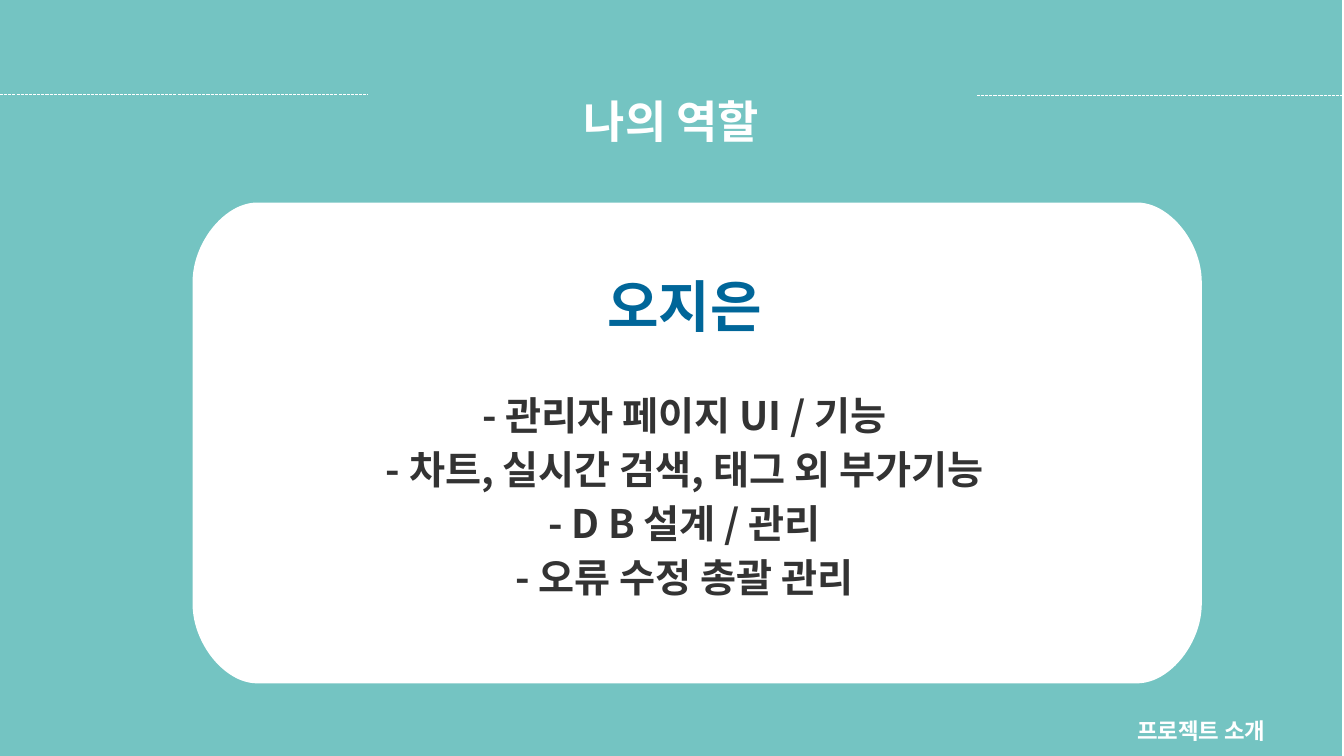
"""Builds the "나의 역할" slide: a team member's roles on a white card."""
from lxml.etree import SubElement
from pptx import Presentation
from pptx.dml.color import RGBColor
from pptx.enum.shapes import MSO_CONNECTOR, MSO_SHAPE
from pptx.enum.text import PP_ALIGN
from pptx.oxml.ns import qn
from pptx.util import Inches, Pt

FONT = "Noto Sans CJK KR"
TEAL, WHITE, BLUE, DARK = "74C4C2", "FFFFFF", "006699", "333333"

TITLE = "나의 역할"
FOOTER = "프로젝트 소개"
MEMBER = "오지은"
ROLES = [
    "- 관리자 페이지 UI / 기능",
    "- 차트, 실시간 검색, 태그 외 부가기능",
    "- D B 설계 / 관리",
    "- 오류 수정 총괄 관리",
]
RULES = [(0, 3.65, 0.94), (9.69, 13.33, 0.95)]
CARD = (1.91, 2.01, 10.01, 4.77)
CORNER = (0.64, 0.79)
CORNER_STEPS = 24


def color(value):
    return RGBColor.from_string(value)


def paint(shape, fill):
    shape.shadow.inherit = False
    shape.fill.solid()
    shape.fill.fore_color.rgb = color(fill)
    shape.line.fill.background()


def bezier(start, control_1, control_2, end):
    for step in range(CORNER_STEPS + 1):
        t = step / CORNER_STEPS
        weights = ((1 - t) ** 3, 3 * t * (1 - t) ** 2, 3 * t * t * (1 - t), t ** 3)
        yield tuple(
            sum(w * value for w, value in zip(weights, values))
            for values in zip(start, control_1, control_2, end)
        )


def card_outline():
    left, top, width, height = CARD
    dx, dy = CORNER
    corner = list(bezier((dx, 0), (dx / 2, 0), (0, dy / 2), (0, dy)))
    top_left = [(left + x, top + y) for x, y in corner]
    bottom_left = [(left + x, top + height - y) for x, y in reversed(corner)]
    left_side = top_left + bottom_left
    right_side = [(2 * left + width - x, y) for x, y in reversed(left_side)]
    return [(Inches(x), Inches(y)) for x, y in left_side + right_side]


def write(paragraph, text, *, size, fill, align, spacing, before=0):
    paragraph.alignment = align
    paragraph.line_spacing = spacing
    if before:
        paragraph.space_before = Pt(before)
    run = paragraph.add_run()
    run.text = text
    run.font.size = Pt(size)
    run.font.bold = True
    run.font.name = FONT
    run.font.color.rgb = color(fill)
    SubElement(run.font._element, qn("a:ea"), typeface=FONT)


def text_frame(left, top, width, height):
    box = slide.shapes.add_textbox(*map(Inches, (left, top, width, height)))
    box.text_frame.word_wrap = True
    return box.text_frame


deck = Presentation()
deck.slide_width, deck.slide_height = Inches(13.33), Inches(7.5)
slide = deck.slides.add_slide(deck.slide_layouts[6])

backdrop = slide.shapes.add_shape(
    MSO_SHAPE.RECTANGLE, Inches(-0.02), 0, deck.slide_width, deck.slide_height
)
paint(backdrop, TEAL)

title = text_frame(4.55, 0.61, 4.22, 0.63)
write(title.paragraphs[0], TITLE, size=32, fill=WHITE, align=PP_ALIGN.CENTER, spacing=1.5)

for start, end, y in RULES:
    rule = slide.shapes.add_connector(
        MSO_CONNECTOR.STRAIGHT, Inches(start), Inches(y), Inches(end), Inches(y)
    )
    rule.line.color.rgb = color(WHITE)
    rule.line.width = Pt(0.75)
    properties = rule.line._get_or_add_ln()
    SubElement(properties, qn("a:prstDash"), val="sysDash")
    SubElement(properties.getparent(), qn("a:effectLst"))

footer = text_frame(8.43, 6.93, 4.22, 0.37)
write(footer.paragraphs[0], FOOTER, size=16, fill=WHITE, align=PP_ALIGN.RIGHT, spacing=1.5)

first, *rest = card_outline()
outline = slide.shapes.build_freeform(*first)
outline.add_line_segments(rest, close=True)
paint(outline.convert_to_shape(), WHITE)

duties = text_frame(2.13, 2.54, 9.32, 4.05)
write(duties.paragraphs[0], MEMBER, size=40, fill=BLUE, align=PP_ALIGN.CENTER, spacing=1.15)
for index, role in enumerate(ROLES):
    write(
        duties.add_paragraph(), role, size=28, fill=DARK,
        align=PP_ALIGN.CENTER, spacing=1.15, before=0 if index else 33,
    )

deck.save("out.pptx")
